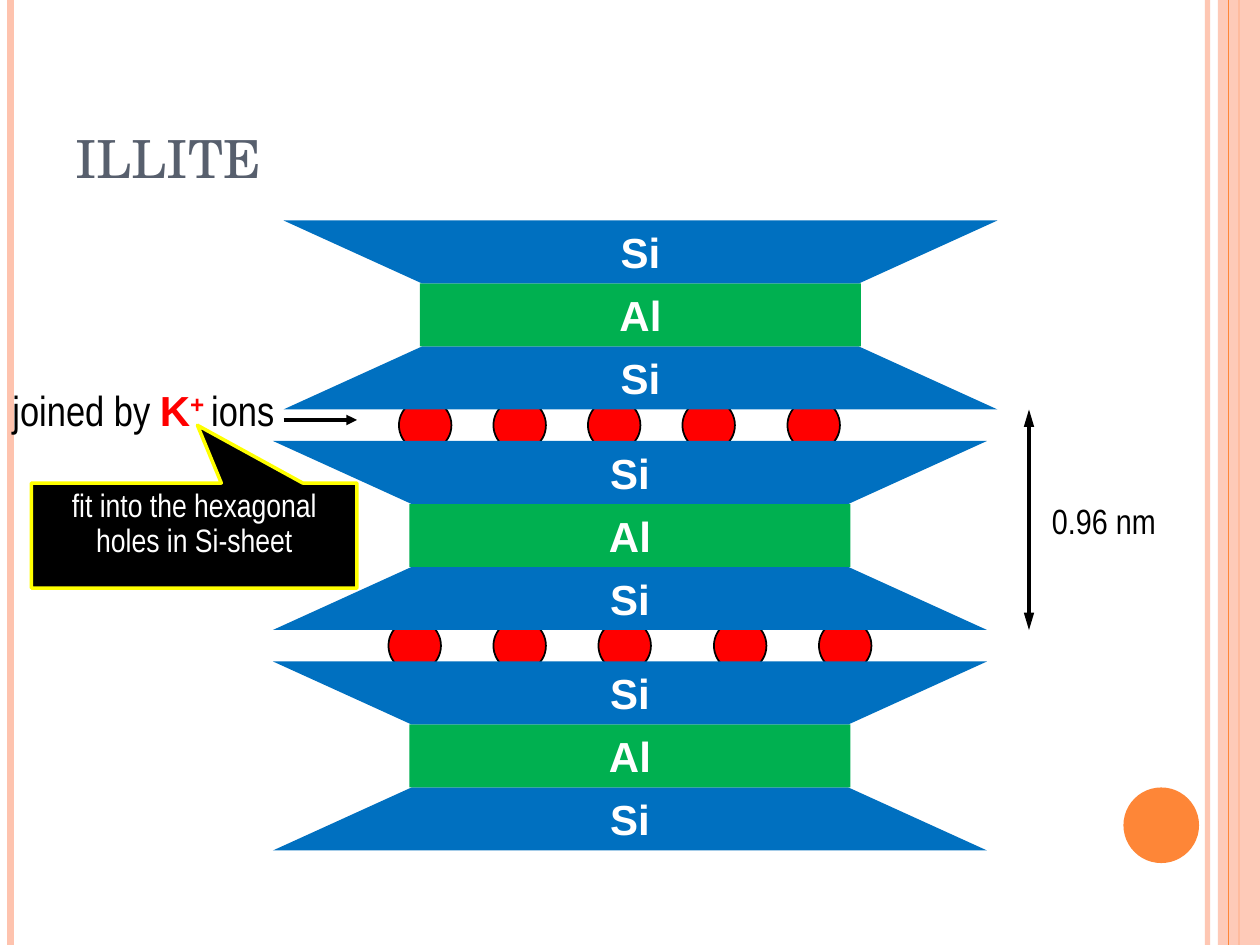
import dataclasses
import typing

import lxml.etree
import pptx
import pptx.dml.color
import pptx.enum.shapes
import pptx.enum.text
import pptx.oxml
import pptx.oxml.ns
import pptx.util

RGBColor = pptx.dml.color.RGBColor
Shapes = pptx.enum.shapes.MSO_SHAPE
Align = pptx.enum.text.PP_ALIGN
Anchor = pptx.enum.text.MSO_ANCHOR

PEACH = RGBColor(0xFE, 0xC3, 0xAE)
ORANGE = RGBColor(0xFE, 0x86, 0x37)
SLATE = RGBColor(0x57, 0x5F, 0x6D)
RED = RGBColor(0xFF, 0x00, 0x00)
BLUE = RGBColor(0x00, 0x70, 0xC0)
GREEN = RGBColor(0x00, 0xB0, 0x50)
YELLOW = RGBColor(0xFF, 0xFF, 0x00)
BLACK = RGBColor(0x00, 0x00, 0x00)
WHITE = RGBColor(0xFF, 0xFF, 0xFF)

COLUMNS, ROWS = 120, 90
SLIDE_WIDTH, SLIDE_HEIGHT = pptx.util.Inches(10), pptx.util.Inches(7.5)
SHEET_WIDTH, SHEET_HEIGHT, SHEET_SLOPE = 68, 6, 13.2
ION_SIZE = 5


@dataclasses.dataclass
class Box:
    column: float
    row: float
    columns: float
    rows: float

    def lengths(self) -> tuple:
        return (across(self.column), down(self.row),
                across(self.columns), down(self.rows))


@dataclasses.dataclass
class Layer:
    column: float
    row: float


@dataclasses.dataclass
class IonRow:
    row: float
    columns: tuple


@dataclasses.dataclass
class Rule:
    start: tuple
    end: tuple
    color: RGBColor
    width: float
    opacity: int = 100
    ends: tuple = ()
    head_length: str = "med"


@dataclasses.dataclass
class Run:
    text: str
    size: float
    font: str
    color: RGBColor
    bold: bool = False
    baseline: int = 0


LAYERS = [Layer(26, 63), Layer(26, 42), Layer(27, 21)]
ION_ROWS = [IonRow(38, (38, 47, 56, 65, 75)), IonRow(59, (37, 47, 57, 68, 78))]


def across(columns: float) -> int:
    return round(SLIDE_WIDTH * columns / COLUMNS)


def down(rows: float) -> int:
    return round(SLIDE_HEIGHT * rows / ROWS)


def apply(target: typing.Any, values: dict) -> None:
    for name, value in values.items():
        setattr(target, name, value)


def set_opacity(fill: typing.Any, percent: int) -> None:
    color = fill._xPr.find(".//" + pptx.oxml.ns.qn("a:srgbClr"))
    alpha = lxml.etree.SubElement(color, pptx.oxml.ns.qn("a:alpha"))
    alpha.set("val", str(percent * 1000))


def paint(shape: typing.Any, fill: RGBColor, line: typing.Optional[RGBColor] = None,
          width: float = 1) -> None:
    shape.shadow.inherit = False
    shape.fill.solid()
    shape.fill.fore_color.rgb = fill
    if line is None:
        shape.line.fill.background()
    else:
        shape.line.color.rgb = line
        shape.line.width = pptx.util.Pt(width)


def draw_shape(slide: typing.Any, kind: typing.Any, box: Box, fill: RGBColor,
               line: typing.Optional[RGBColor] = None, width: float = 1) -> typing.Any:
    shape = slide.shapes.add_shape(kind, *box.lengths())
    paint(shape, fill, line, width)
    return shape


def draw_rule(slide: typing.Any, rule: Rule) -> None:
    connector = slide.shapes.add_connector(
        pptx.enum.shapes.MSO_CONNECTOR.STRAIGHT,
        across(rule.start[0]), down(rule.start[1]),
        across(rule.end[0]), down(rule.end[1]))
    connector.line.color.rgb = rule.color
    connector.line.width = pptx.util.Pt(rule.width)
    if rule.opacity < 100:
        set_opacity(connector.line.fill, rule.opacity)
    outline = connector.line._get_or_add_ln()
    for end in rule.ends:
        head = lxml.etree.SubElement(outline, pptx.oxml.ns.qn("a:" + end))
        for name, value in {"type": "triangle", "w": "med", "len": rule.head_length}.items():
            head.set(name, value)
    properties = connector._element.spPr
    lxml.etree.SubElement(properties, pptx.oxml.ns.qn("a:effectLst"))


def write(shape: typing.Any, runs: list, alignment: typing.Any = Align.LEFT,
          anchor: typing.Any = Anchor.TOP, wrap: bool = True, spacing: float = 1.0) -> None:
    frame = shape.text_frame
    apply(frame, {"word_wrap": wrap, "vertical_anchor": anchor,
                  "auto_size": pptx.enum.text.MSO_AUTO_SIZE.NONE})
    paragraph = frame.paragraphs[0]
    apply(paragraph, {"alignment": alignment, "line_spacing": spacing})
    for item in runs:
        run = paragraph.add_run()
        run.text = item.text
        apply(run.font, {"size": pptx.util.Pt(item.size), "name": item.font, "bold": item.bold})
        run.font.color.rgb = item.color
        if item.baseline:
            run.font._element.set("baseline", str(item.baseline * 1000))


def write_sheet_name(shape: typing.Any, name: str) -> None:
    write(shape, [Run(name, 24, "Arial", WHITE, True)], Align.CENTER, Anchor.MIDDLE, False)


def draw_silica(slide: typing.Any, column: float, wide_row: float, narrow_row: float) -> None:
    right = column + SHEET_WIDTH
    corners = [(column, wide_row), (column + SHEET_SLOPE, narrow_row),
               (right - SHEET_SLOPE, narrow_row), (right, wide_row)]
    points = [(across(x), down(y)) for x, y in corners]
    builder = slide.shapes.build_freeform(*points[0])
    builder.add_line_segments(points[1:], close=True)
    shape = builder.convert_to_shape()
    paint(shape, BLUE)
    write_sheet_name(shape, "Si")


def draw_layer(slide: typing.Any, layer: Layer) -> None:
    top, middle, lower, bottom = (layer.row + SHEET_HEIGHT * i for i in range(4))
    draw_silica(slide, layer.column, bottom, lower)
    alumina = Box(layer.column + 13, middle, 42, SHEET_HEIGHT)
    write_sheet_name(draw_shape(slide, Shapes.RECTANGLE, alumina, GREEN), "Al")
    draw_silica(slide, layer.column, top, middle)


def draw_margins(slide: typing.Any) -> None:
    draw_rule(slide, Rule((115, 0), (115, ROWS), PEACH, 3, 93))
    draw_rule(slide, Rule((1, 0), (1, ROWS), PEACH, 4.5))
    draw_rule(slide, Rule((118, 0), (118, ROWS), ORANGE, 1.5))
    band = draw_shape(slide, Shapes.RECTANGLE, Box(116, 0, 4, ROWS), PEACH)
    set_opacity(band.fill, 87)
    draw_rule(slide, Rule((117, 0), (117, ROWS), ORANGE, 0.75))
    draw_shape(slide, Shapes.OVAL, Box(107, 75, 7.2, 7.2), ORANGE)


def draw_label(slide: typing.Any, box: Box, runs: list) -> None:
    write(slide.shapes.add_textbox(*box.lengths()), runs)


def main() -> None:
    presentation = pptx.Presentation()
    apply(presentation, {"slide_width": SLIDE_WIDTH, "slide_height": SLIDE_HEIGHT})
    slide = presentation.slides.add_slide(presentation.slide_layouts[5])
    title = slide.shapes.title
    apply(title, dict(zip(("left", "top", "width", "height"), Box(6, 3.6, 98, 15).lengths())))
    write(title, [Run("ILLITE", 30, "TeX Gyre Schola", SLATE)], anchor=Anchor.BOTTOM)

    draw_margins(slide)
    for ions in ION_ROWS:
        for column in ions.columns:
            draw_shape(slide, Shapes.OVAL, Box(column, ions.row, ION_SIZE, ION_SIZE), RED, BLACK)
    for layer in LAYERS:
        draw_layer(slide, layer)

    draw_rule(slide, Rule((98, 39), (98, 60), BLACK, 1.75, ends=("headEnd", "tailEnd"),
                          head_length="lg"))
    draw_label(slide, Box(99, 47, 16, 5.3), [Run("0.96 nm", 20, "Arial Narrow", BLACK)])
    draw_label(slide, Box(0, 36, 33, 6), [
        Run("joined by ", 24, "Arial Narrow", BLACK),
        Run("K", 24, "Arial", RED, True),
        Run("+ ", 24, "Arial", RED, True, 30),
        Run("ions", 24, "Arial Narrow", BLACK)])
    draw_rule(slide, Rule((27, 40), (34, 40), BLACK, 2, ends=("tailEnd",)))
    callout = draw_shape(slide, Shapes.RECTANGULAR_CALLOUT, Box(3, 46, 31, 10), BLACK, YELLOW, 2)
    callout.adjustments[0], callout.adjustments[1] = 0.01, -1.05
    write(callout, [Run("fit into the hexagonal holes in Si-sheet", 18.5, "Arial Narrow", WHITE)],
          Align.CENTER, spacing=0.9)
    presentation.save("out.pptx")


if __name__ == "__main__":
    main()
